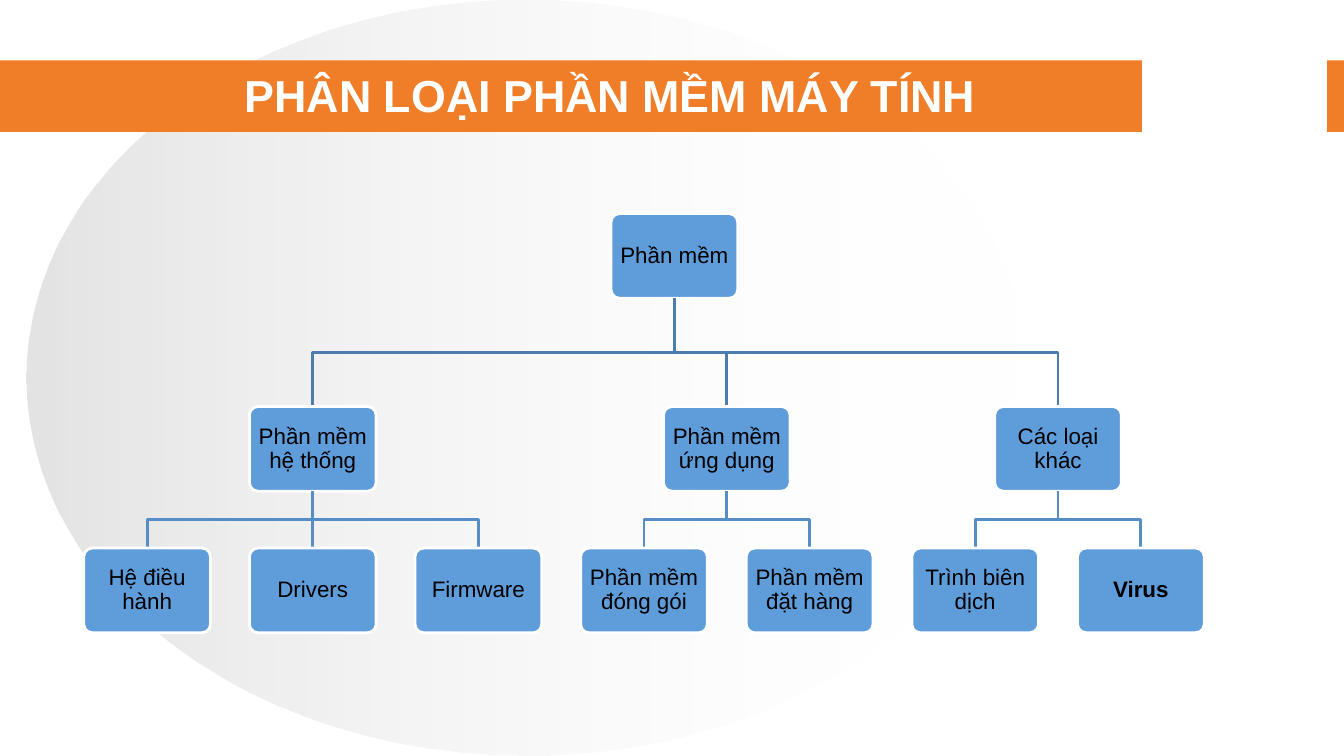
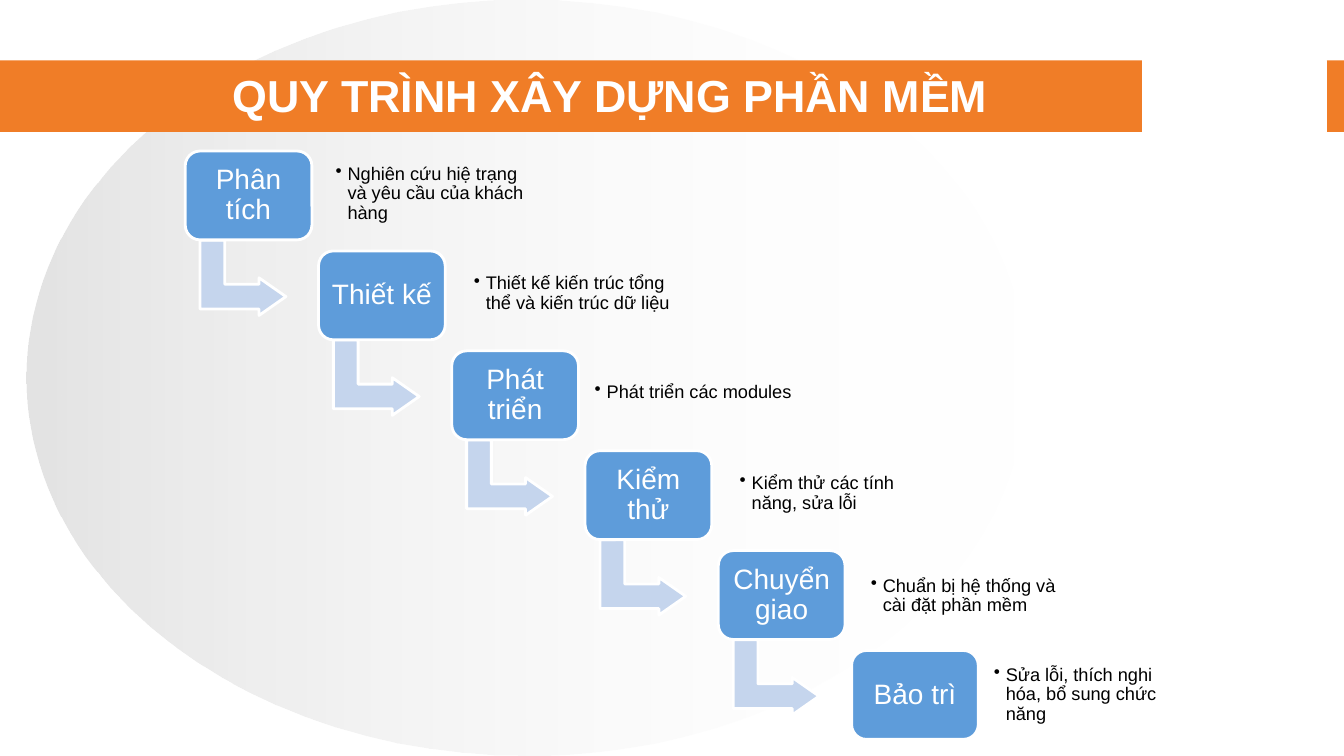
"""Build two slides on kinds of software and how software is made."""
from dataclasses import dataclass

from lxml import etree
from pptx import Presentation
from pptx.dml.color import RGBColor
from pptx.enum.shapes import MSO_CONNECTOR, MSO_SHAPE
from pptx.enum.text import MSO_ANCHOR, MSO_AUTO_SIZE, PP_ALIGN
from pptx.oxml.ns import qn
from pptx.util import Pt

STRAIGHT = MSO_CONNECTOR.STRAIGHT
RECT, ROUND, OVAL = MSO_SHAPE.RECTANGLE, MSO_SHAPE.ROUNDED_RECTANGLE, MSO_SHAPE.OVAL
BENT_ARROW = MSO_SHAPE.BENT_UP_ARROW
MIDDLE = MSO_ANCHOR.MIDDLE
NO_FIT = MSO_AUTO_SIZE.NONE
LEFT, CENTER = PP_ALIGN.LEFT, PP_ALIGN.CENTER
TITLE_ONLY = 5


@dataclass(frozen=True)
class Theme:
    """Colours, type sizes and font of the deck."""
    font: str = "Arial"
    orange: str = "F07D27"
    white: str = "FFFFFF"
    black: str = "000000"
    silver: str = "C0C0C0"
    box: str = "5E9CDA"
    arrow: str = "C5D5ED"
    upper_line: str = "4B7DAF"
    lower_line: str = "558EC6"
    title_size: float = 32
    step_size: float = 20
    node_size: float = 16
    note_size: float = 13
    line: float = 2


T = Theme()

BOX_W = 90.5
NODE_H, NODE_TOPS = 60.5, (152.6, 290.4, 391.5)
LEAF_X, LEAF_PITCH = 105.1, 118.3
ROOT_X = 481.7
TREE = (
    ("Phần mềm hệ thống", ("Hệ điều hành", "Drivers", "Firmware")),
    ("Phần mềm ứng dụng", ("Phần mềm đóng gói", "Phần mềm đặt hàng")),
    ("Các loại khác", ("Trình biên dịch", "Virus")),
)

STEP_X, STEP_Y, STEP_H = 132.3, 107.9, 63.5
STEP_DX, STEP_DY = 95.2, 71.35
STEPS = (
    ("Phân tích", "Nghiên cứu hiệ trạng và yêu cầu của khách hàng", (234.7, 113, 149)),
    ("Thiết kế", "Thiết kế kiến trúc tổng thể và kiến trúc dữ liệu", (333.4, 184.3, 150.5)),
    ("Phát triển", "Phát triển các modules", (419.8, 254.9, 181.4)),
    ("Kiểm thử", "Kiểm thử các tính năng, sửa lỗi", (523.4, 326.9, 149)),
    ("Chuyển giao", "Chuẩn bị hệ thống và cài đặt phần mềm", (617, 400.3, 143.3)),
    ("Bảo trì", "Sửa lỗi, thích nghi hóa, bổ sung chức năng", (704.9, 470.9, 151.2)),
)


def rgb(color):
    """Turn a hex string into a colour."""
    return RGBColor.from_string(color)


def write(tf, text, size, color=T.black, bold=False, align=CENTER, inset=3,
          spacing=0.9, bullet=False):
    """Put one formatted paragraph in a text frame."""
    tf.word_wrap, tf.auto_size, tf.vertical_anchor = True, NO_FIT, MIDDLE
    tf.margin_left = tf.margin_right = tf.margin_top = tf.margin_bottom = Pt(inset)
    p = tf.paragraphs[0]
    p.alignment, p.line_spacing = align, spacing
    if bullet:
        props = p._p.get_or_add_pPr()
        props.set("marL", str(Pt(8.6)))
        props.set("indent", str(-Pt(8.6)))
        etree.SubElement(props, qn("a:buChar")).set("char", "•")
    r = p.add_run()
    r.text = text
    r.font.name, r.font.size, r.font.bold = T.font, Pt(size), bold
    r.font.color.rgb = rgb(color)


def add_shape(s, kind, x, y, w, h, fill, line=None, width=T.line):
    """Add a filled preset shape without shadow."""
    sp = s.shapes.add_shape(kind, Pt(x), Pt(y), Pt(w), Pt(h))
    sp.shadow.inherit = False
    sp.fill.solid()
    sp.fill.fore_color.rgb = rgb(fill)
    set_line(sp, line, width)
    return sp


def set_line(sp, color, width=T.line):
    """Colour an outline, or hide it when no colour is given."""
    if color is None:
        sp.line.fill.background()
    else:
        sp.line.color.rgb = rgb(color)
        sp.line.width = Pt(width)


def fade(sp, stops):
    """Fill a shape from left to right with (colour, opacity percent) stops."""
    sp.fill.gradient()
    sp.fill.gradient_angle = 0
    for stop, (color, opacity) in zip(sp.fill.gradient_stops, stops):
        stop.color.rgb = rgb(color)
    colors = sp.element.spPr.find(qn("a:gradFill")).iter(qn("a:srgbClr"))
    for node, (color, opacity) in zip(colors, stops):
        etree.SubElement(node, qn("a:alpha")).set("val", str(opacity * 1000))


def add_backdrop(s, layout):
    """Draw the ellipse and title band, then move them to the layout."""
    ellipse = add_shape(s, OVAL, 18.7, 0, 714.3, 540, T.white)
    fade(ellipse, ((T.silver, 44), (T.white, 0)))
    band = add_shape(s, RECT, 0, 43.2, 960, 51.1, T.orange)
    gap = add_shape(s, RECT, 815.8, 43.2, 131.8, 51.1, T.white, T.white, 0.75)
    for i, sp in enumerate((ellipse, band, gap)):
        sp.element.xpath("./p:nvSpPr/p:cNvPr")[0].set("id", str(100 + i))
        layout.shapes.element.append(sp.element)


def add_title(s, text):
    """Place and format the title placeholder."""
    sp = s.shapes.title
    sp.left, sp.top, sp.width, sp.height = Pt(120), Pt(48.2), Pt(632), Pt(38.2)
    write(sp.text_frame, text, T.title_size, color=T.white, bold=True, spacing=1)


def add_box(s, x, y, h, text, size, corner, **fmt):
    """Add a rounded blue box with centred text."""
    sp = add_shape(s, ROUND, x, y, BOX_W, h, T.box, T.white)
    sp.adjustments[0] = corner
    write(sp.text_frame, text, size, **fmt)


def add_link(s, x1, y1, x2, y2, color):
    """Join two points with a right-angled line."""
    if abs(x1 - x2) < 0.1:
        link = s.shapes.add_connector(STRAIGHT, Pt(x1), Pt(y1), Pt(x2), Pt(y2))
        etree.SubElement(link.element.spPr, qn("a:effectLst"))
    else:
        mid = (y1 + y2) / 2
        fb = s.shapes.build_freeform(Pt(x1), Pt(y1))
        points = ((x1, mid), (x2, mid), (x2, y2))
        fb.add_line_segments([(Pt(x), Pt(y)) for x, y in points], close=False)
        link = fb.convert_to_shape()
        link.shadow.inherit = False
        link.fill.background()
    set_line(link, color)


def add_node(s, text, level, x, parent_x=None):
    """Add a tree box centred on x, linked to its parent."""
    top = NODE_TOPS[level]
    if level:
        color = T.upper_line if level == 1 else T.lower_line
        add_link(s, parent_x, NODE_TOPS[level - 1] + NODE_H, x, top, color)
    add_box(s, x - BOX_W / 2, top, NODE_H, text, T.node_size, 0.1,
            bold=text == "Virus")


def add_tree(s):
    """Draw the tree, each parent centred over its leaves."""
    add_node(s, "Phần mềm", 0, ROOT_X)
    first = 0
    for parent, leaves in TREE:
        xs = [LEAF_X + LEAF_PITCH * (first + i) for i in range(len(leaves))]
        x = (xs[0] + xs[-1]) / 2
        add_node(s, parent, 1, x, ROOT_X)
        for leaf, leaf_x in zip(leaves, xs):
            add_node(s, leaf, 2, leaf_x, x)
        first += len(leaves)


def add_arrow(s, x, y):
    """Add the bent arrow that leads to the next step."""
    sp = add_shape(s, BENT_ARROW, x, y, 53.8, 61.3, T.arrow, T.white)
    sp.rotation = 90
    for i, value in enumerate((0.328, 0.25, 0.358)):
        sp.adjustments[i] = value


def add_note(s, x, y, w, text):
    """Add a bulleted note beside a step."""
    sp = s.shapes.add_textbox(Pt(x), Pt(y), Pt(w), Pt(51.1))
    write(sp.text_frame, text, T.note_size, align=LEFT, inset=5, bullet=True)


def add_steps(s):
    """Draw the staircase of steps with arrows and notes."""
    for i, (name, note, place) in enumerate(STEPS):
        x, y = STEP_X + STEP_DX * i, STEP_Y + STEP_DY * i
        if i < len(STEPS) - 1:
            add_arrow(s, x + 14.4, y + 59.9)
        add_box(s, x, y, STEP_H, name, T.step_size, 0.167, color=T.white)
        add_note(s, *place, note)


def main():
    """Build and save the deck."""
    prs = Presentation()
    prs.slide_width, prs.slide_height = Pt(960), Pt(540)
    layout = prs.slide_layouts[TITLE_ONLY]
    slides = (
        ("PHÂN LOẠI PHẦN MỀM MÁY TÍNH", add_tree),
        ("QUY TRÌNH XÂY DỰNG PHẦN MỀM", add_steps),
    )
    for i, (title, draw) in enumerate(slides):
        s = prs.slides.add_slide(layout)
        if i == 0:
            add_backdrop(s, layout)
        add_title(s, title)
        draw(s)
    prs.save("out.pptx")


if __name__ == "__main__":
    main()
